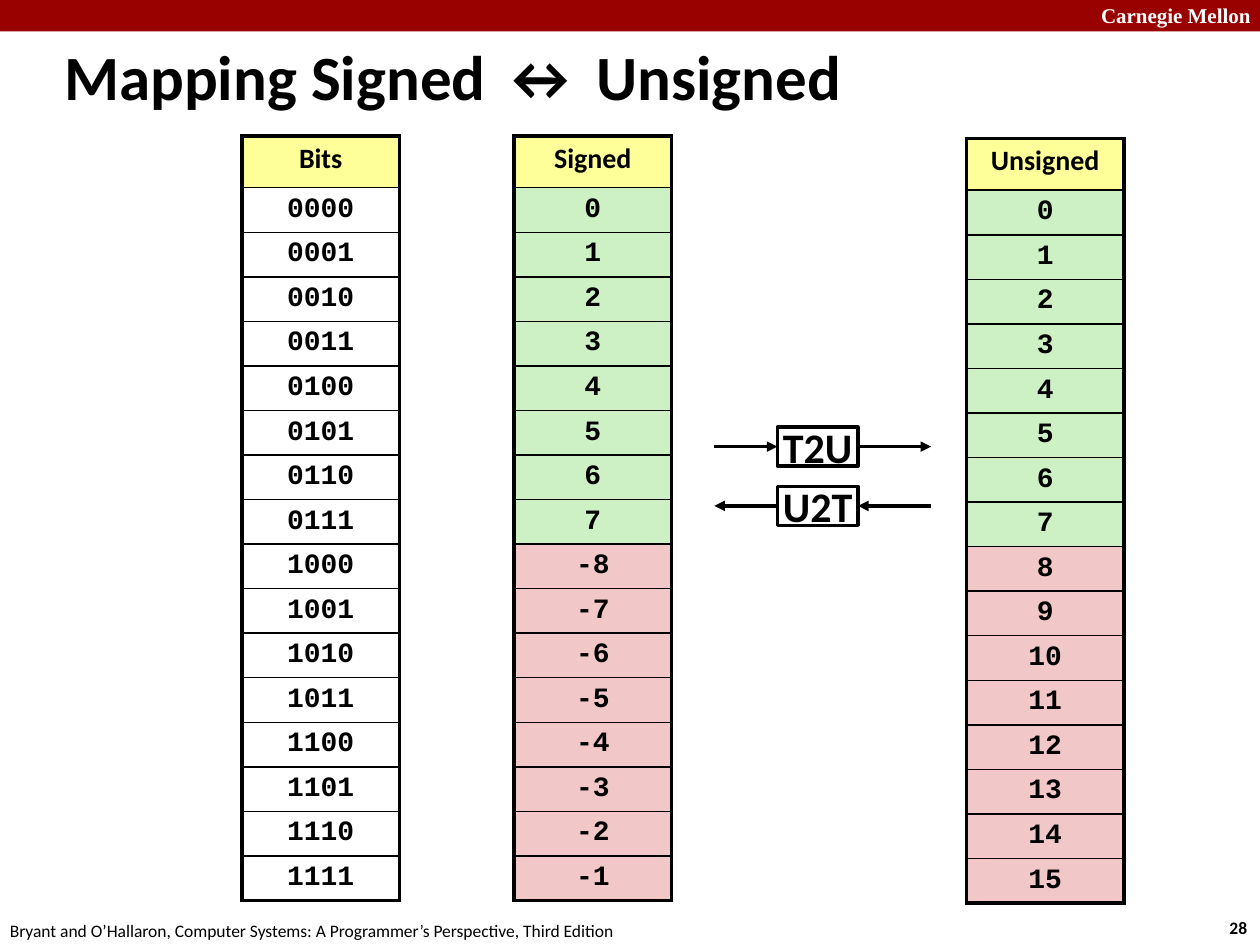
from lxml.etree import SubElement
from pptx import Presentation
from pptx.dml.color import RGBColor
from pptx.enum.shapes import MSO_CONNECTOR, MSO_SHAPE
from pptx.enum.text import MSO_ANCHOR, PP_ALIGN
from pptx.oxml.ns import qn
from pptx.util import Inches, Pt

COLORS = {
    "black": "000000",
    "white": "FFFFFF",
    "banner": "990000",
    "header": "FFFF99",
    "same": "CDF1C5",
    "different": "F1C7C7",
}
TITLE = "Mapping Signed ↔ Unsigned"
LABELS = [
    ("Carnegie Mellon", 8.64, -0.03, 1.43, 0.3, 12, "Times New Roman", "white", True),
    ("28", 9.66, 7.23, 0.37, 0.27, 10, "Calibri", "black", True),
    ("Bryant and O’Hallaron, Computer Systems: A Programmer’s Perspective, Third Edition",
     -0.02, 7.25, 5.08, 0.27, 10, "Calibri", "black", False),
]
TABLES = [
    ("Signed", 4.08, 1.08, [*range(8), *range(-8, 0)], ("same", "different")),
    ("Unsigned", 7.67, 1.1, range(16), ("same", "different")),
    ("Bits", 1.92, 1.08, [f"{number:04b}" for number in range(16)], ("white", "white")),
]
COLUMN_WIDTH, HEADER_HEIGHT, TABLE_HEIGHT = 1.25, 0.41, 6.07
MAPPINGS = [("U2T", 3.86, False), ("T2U", 3.39, True)]
BOX_LEFT, BOX_WIDTH, BOX_HEIGHT = 6.17, 0.64, 0.31
ARROWS_LEFT, ARROWS_RIGHT = 5.67, 7.39


def rgb(name):
    """Return the named colour."""
    return RGBColor.from_string(COLORS[name])


def write(frame, text, size, font="Calibri", color="black", bold=True, align=PP_ALIGN.LEFT):
    """Put one formatted run in a text frame and return its paragraph."""
    para = frame.paragraphs[0]
    para.alignment = align
    span = para.add_run()
    span.text = text
    span.font.size = Pt(size)
    span.font.name = font
    span.font.bold = bold
    span.font.color.rgb = rgb(color)
    return para


def add_box(page, left, top, width, height, fill):
    """Add a plain filled rectangle."""
    box = page.shapes.add_shape(
        MSO_SHAPE.RECTANGLE, Inches(left), Inches(top), Inches(width), Inches(height))
    box.shadow.inherit = False
    box.fill.solid()
    box.fill.fore_color.rgb = rgb(fill)
    box.line.fill.background()
    return box


def add_borders(cell, widths):
    """Draw the four cell borders with the given widths in points."""
    properties = cell._tc.get_or_add_tcPr()
    for side, width in widths.items():
        line = SubElement(properties, qn(f"a:ln{side}"), w=str(Pt(width)))
        fill = SubElement(line, qn("a:solidFill"))
        SubElement(fill, qn("a:srgbClr"), val=COLORS["black"])


def add_number_table(page, heading, left, top, values, fills):
    """Add a one-column table whose lower half may have its own fill."""
    texts = [heading, *map(str, values)]
    last = len(texts) - 1
    table = page.shapes.add_table(
        len(texts), 1, Inches(left), Inches(top),
        Inches(COLUMN_WIDTH), Inches(TABLE_HEIGHT)).table
    table.first_row = table.horz_banding = False
    row_height = Inches((TABLE_HEIGHT - HEADER_HEIGHT) / last)
    for index, text in enumerate(texts):
        table.rows[index].height = row_height if index else Inches(HEADER_HEIGHT)
        cell = table.cell(index, 0)
        cell.margin_left = cell.margin_right = Inches(0.05)
        cell.margin_top = cell.margin_bottom = Inches(0.05)
        add_borders(cell, {"L": 2.25, "R": 2.25,
                           "T": 1 if index else 2.25,
                           "B": 2.25 if index == last else 1})
        cell.fill.solid()
        cell.fill.fore_color.rgb = rgb(fills[index > last // 2] if index else "header")
        para = write(cell.text_frame, text, 16, "Courier New" if index else "Calibri",
                     align=PP_ALIGN.CENTER)
        para.line_spacing = 0.95


def add_arrow(page, box, site, outer, outward):
    """Join a side of the box to an outer point with an arrow."""
    middle = box.top + box.height // 2
    edge = box.left if site == 1 else box.left + box.width
    ends = (edge, Inches(outer)) if outward else (Inches(outer), edge)
    arrow = page.shapes.add_connector(
        MSO_CONNECTOR.STRAIGHT, ends[0], middle, ends[1], middle)
    join = arrow.begin_connect if outward else arrow.end_connect
    join(box, site)
    arrow.line.color.rgb = rgb("black")
    arrow.line.width = Pt(2)
    SubElement(arrow.line._get_or_add_ln(), qn("a:tailEnd"), type="triangle")
    SubElement(arrow._element.spPr, qn("a:effectLst"))


def add_mapping(page, name, top, rightward):
    """Add a mapping box with an arrow in and an arrow out."""
    box = add_box(page, BOX_LEFT, top, BOX_WIDTH, BOX_HEIGHT, "white")
    box.line.color.rgb = rgb("black")
    box.line.width = Pt(2)
    frame = box.text_frame
    frame.word_wrap = False
    frame.vertical_anchor = MSO_ANCHOR.MIDDLE
    write(frame, name, 24, align=PP_ALIGN.CENTER)
    add_arrow(page, box, 1, ARROWS_LEFT, not rightward)
    add_arrow(page, box, 3, ARROWS_RIGHT, rightward)


def main():
    """Build the slide."""
    deck = Presentation()
    deck.slide_width, deck.slide_height = Inches(10), Inches(7.5)
    page = deck.slides.add_slide(deck.slide_layouts[5])

    add_box(page, 0, 0, 10, 0.25, "banner")
    for text, left, top, width, height, *style in LABELS:
        label = page.shapes.add_textbox(
            Inches(left), Inches(top), Inches(width), Inches(height))
        label.text_frame.word_wrap = False
        write(label.text_frame, text, *style)

    title = page.shapes.title
    title.left, title.top = Inches(0.44), Inches(0.27)
    title.width, title.height = Inches(7.46), Inches(0.61)
    frame = title.text_frame
    frame.word_wrap = False
    frame.vertical_anchor = MSO_ANCHOR.TOP
    frame.margin_left = frame.margin_right = Inches(0.07)
    frame.margin_top = frame.margin_bottom = Inches(0.03)
    write(frame, TITLE, 36)

    for table in TABLES:
        add_number_table(page, *table)
    for mapping in MAPPINGS:
        add_mapping(page, *mapping)
    deck.save("out.pptx")


if __name__ == "__main__":
    main()
